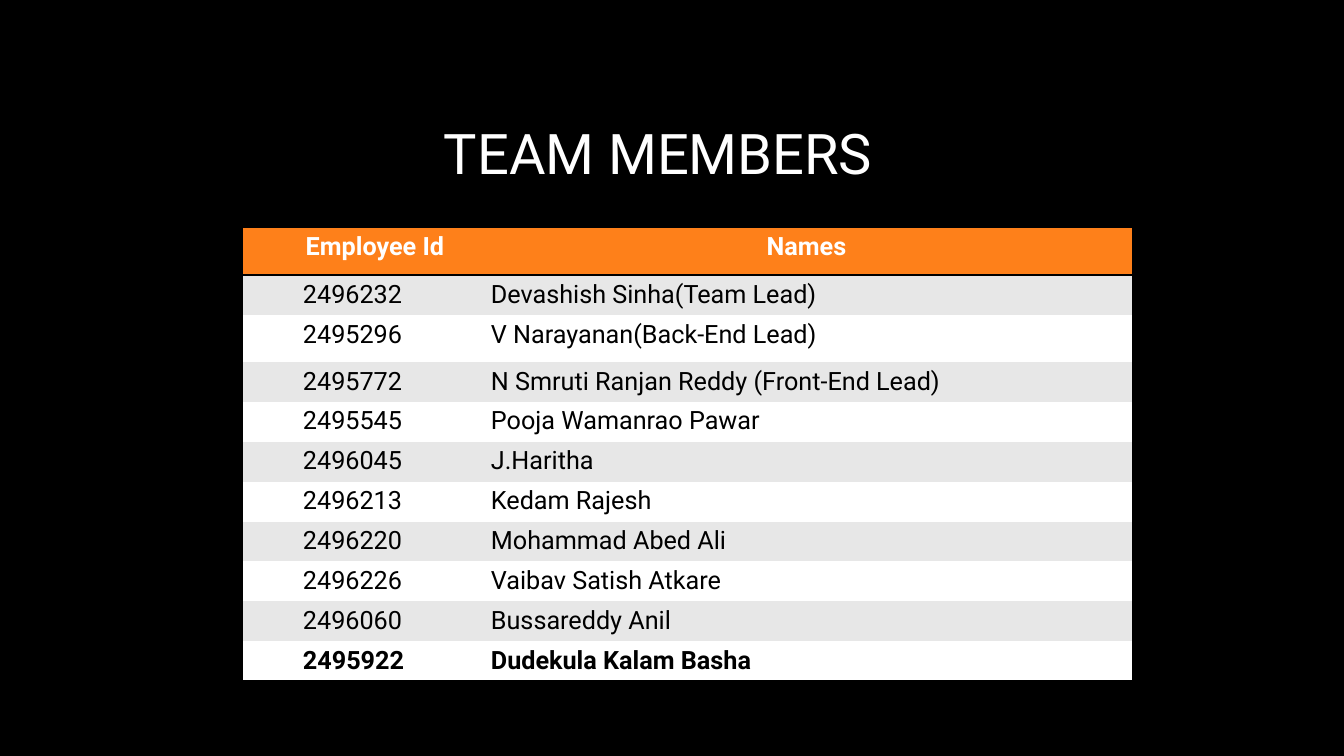
import pptx
import pptx.dml.color
import pptx.enum.text
import pptx.oxml
import pptx.oxml.ns
import pptx.util

RGB = pptx.dml.color.RGBColor
ALIGN = pptx.enum.text.PP_ALIGN
ANCHOR = pptx.enum.text.MSO_ANCHOR

BLACK = RGB(0x00, 0x00, 0x00)
WHITE = RGB(0xFF, 0xFF, 0xFF)
ORANGE = RGB(0xFE, 0x80, 0x1A)
GREY = RGB(0xE7, 0xE7, 0xE7)

PLAIN_TABLE = "{2D5ABB26-0587-4C30-8999-92F81FD0307C}"
HEADERS = ("Employee Id", "Names")
MEMBERS = [
    ("2496232", "Devashish Sinha(Team Lead)"),
    ("2495296", "V Narayanan(Back-End Lead)"),
    ("2495772", "N Smruti Ranjan Reddy (Front-End Lead)"),
    ("2495545", "Pooja Wamanrao Pawar"),
    ("2496045", "J.Haritha"),
    ("2496213", "Kedam Rajesh"),
    ("2496220", "Mohammad Abed Ali"),
    ("2496226", "Vaibav Satish Atkare"),
    ("2496060", "Bussareddy Anil"),
    ("2495922", "Dudekula Kalam Basha"),
]
COL_WIDTHS = (238, 651)
ROW_HEIGHTS = [48, 39, 47] + [40] * 8
HEADER_INSETS = (36, 10)
MEMBER_INSETS = (60, 10)


def px(n):
    """Turn pixels into EMU."""
    return pptx.util.Emu(round(n * 914400 / 100.8))


class Deck:
    """Style and current slide, with a method for each kind of element."""

    font = "Roboto"

    def __init__(self, width, height):
        """Start a presentation of the given size."""
        self.prs = pptx.Presentation()
        self.prs.slide_width, self.prs.slide_height = px(width), px(height)

    def add_slide(self, color):
        """Add a title-only slide with a plain background."""
        self.s = self.prs.slides.add_slide(self.prs.slide_layouts[5])
        self.s.background.fill.solid()
        self.s.background.fill.fore_color.rgb = color

    def style(self, p, size, color, bold=False, align=ALIGN.LEFT):
        """Format a paragraph."""
        p.alignment = align
        p.font.name, p.font.size = self.font, pptx.util.Pt(size)
        p.font.bold, p.font.color.rgb = bold, color

    def title(self, text, x, y, w, h):
        """Fill and place the title placeholder."""
        sp = self.s.shapes.title
        sp.left, sp.top, sp.width, sp.height = map(px, (x, y, w, h))
        tf = sp.text_frame
        tf.text, tf.vertical_anchor = text, ANCHOR.MIDDLE
        p = tf.paragraphs[0]
        p.line_spacing = 0.9
        self.style(p, 40, WHITE, align=ALIGN.CENTER)

    def table(self, x, y, widths, heights):
        """Add an unstyled table with the given column and row sizes."""
        frame = self.s.shapes.add_table(
            len(heights), len(widths), px(x), px(y), px(sum(widths)), px(sum(heights)))
        table = frame.table
        table.first_row = table.horz_banding = False
        style_id = frame.element.find(".//" + pptx.oxml.ns.qn("a:tableStyleId"))
        style_id.text = PLAIN_TABLE
        for col, width in zip(table.columns, widths):
            col.width = px(width)
        for row, height in zip(table.rows, heights):
            row.height = px(height)
        return table

    def cell(self, cell, text, fill, color, inset, bold=False, align=ALIGN.LEFT):
        """Fill and format one table cell."""
        cell.text = text
        cell.margin_left = px(inset)
        cell.fill.solid()
        cell.fill.fore_color.rgb = fill
        self.style(cell.text_frame.paragraphs[0], 18, color, bold, align)

    def border(self, cell, sides):
        """Draw black 2 pt borders on sides listed in the order T, B."""
        props = cell._tc.get_or_add_tcPr()
        for i, side in enumerate(sides):
            props.insert(i, pptx.oxml.parse_xml(
                f'<a:ln{side} {pptx.oxml.ns.nsdecls("a")} w="{pptx.util.Pt(2)}">'
                f'<a:solidFill><a:srgbClr val="{BLACK}"/></a:solidFill></a:ln{side}>'))


def main():
    """Build the team slide."""
    deck = Deck(1344, 756)
    deck.add_slide(BLACK)
    deck.title("TEAM MEMBERS", 76, 85, 1164, 142)
    table = deck.table(243, 227, COL_WIDTHS, ROW_HEIGHTS)
    last = len(MEMBERS)
    for c, (text, inset) in enumerate(zip(HEADERS, HEADER_INSETS)):
        deck.cell(table.cell(0, c), text, ORANGE, WHITE, inset, True, ALIGN.CENTER)
        deck.border(table.cell(0, c), "TB")
    for r, member in enumerate(MEMBERS, 1):
        fill = GREY if r % 2 else WHITE
        for c, (text, inset) in enumerate(zip(member, MEMBER_INSETS)):
            deck.cell(table.cell(r, c), text, fill, BLACK, inset, bold=r == last)
    for c in range(len(HEADERS)):
        deck.border(table.cell(last, c), "B")
    deck.prs.save("out.pptx")


main()
